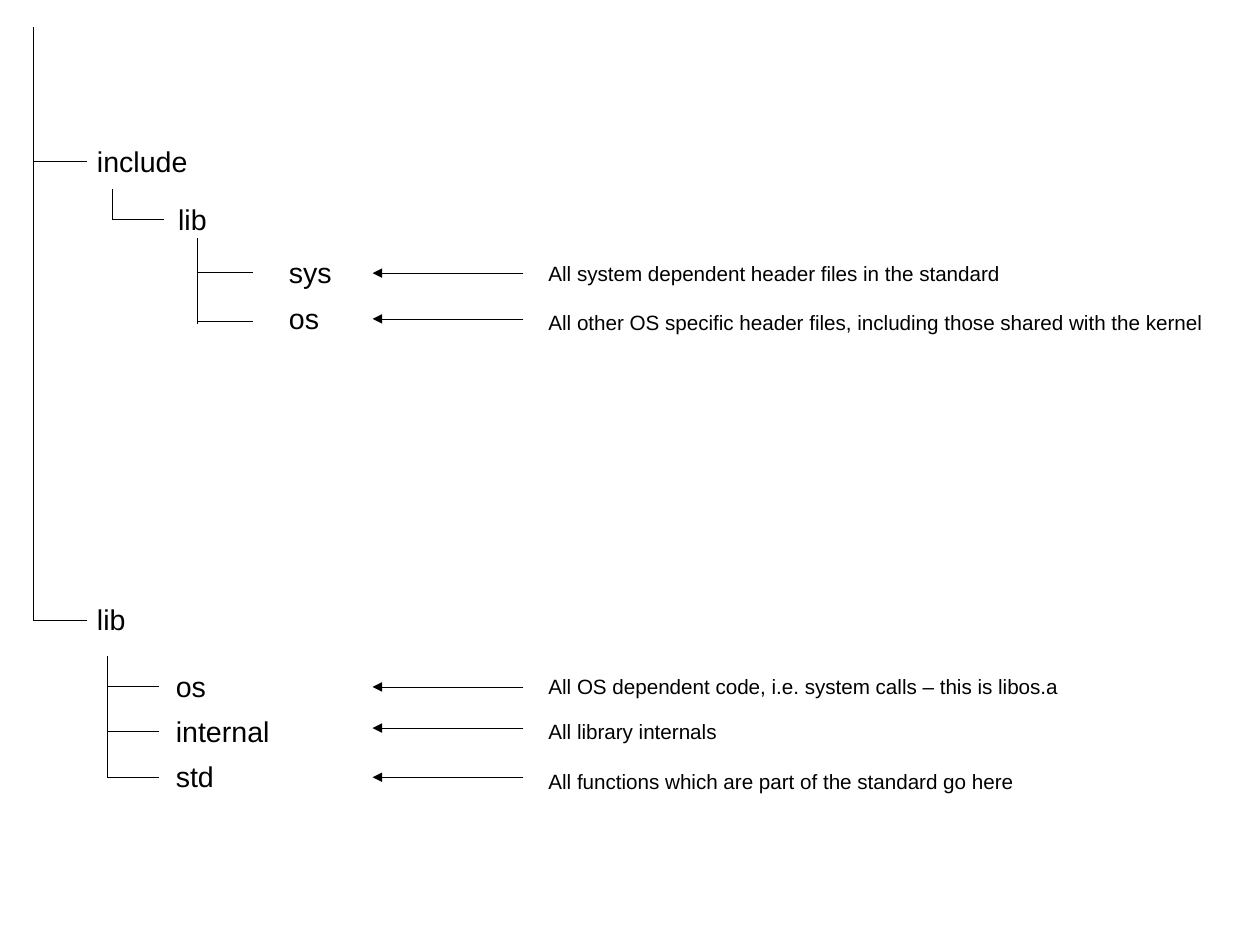
from lxml import etree
from pptx import Presentation
from pptx.dml.color import RGBColor
from pptx.enum.shapes import MSO_CONNECTOR
from pptx.enum.text import MSO_AUTO_SIZE
from pptx.oxml.ns import qn
from pptx.util import Inches, Pt

STRAIGHT = MSO_CONNECTOR.STRAIGHT
GROW = MSO_AUTO_SIZE.SHAPE_TO_FIT_TEXT
BLACK = "000000"

# Slide of 28 by 21 cm
prs = Presentation()
prs.slide_width, prs.slide_height = Inches(28 / 2.54), Inches(21 / 2.54)
s = prs.slides.add_slide(prs.slide_layouts[6])


def add_line(x1, y1, x2, y2, arrow=False):
    c = s.shapes.add_connector(STRAIGHT, Inches(x1), Inches(y1), Inches(x2), Inches(y2))
    c.line.color.rgb = RGBColor.from_string(BLACK)
    ln = c._element.spPr.find(qn("a:ln"))
    ln.set("w", "0")  # hairline
    if arrow:
        etree.SubElement(ln, qn("a:tailEnd"), type="triangle")
    etree.SubElement(c._element.spPr, qn("a:effectLst"))


def add_label(text, x, y, w, h, size):
    sp = s.shapes.add_textbox(Inches(x), Inches(y), Inches(w), Inches(h))
    tf = sp.text_frame
    tf.word_wrap = True
    tf.auto_size = GROW
    r = tf.paragraphs[0].add_run()
    r.text = text
    r.font.name = "Arial"
    r.font.size = Pt(size)
    r.font.color.rgb = RGBColor.from_string(BLACK)


# Vertical trunks of the tree: x, top, bottom
for x, top, bottom in [(0.29, 0.24, 5.42), (0.98, 1.66, 1.91),
                       (1.73, 2.09, 2.83), (0.94, 5.74, 6.8)]:
    add_line(x, top, x, bottom)

# Folders: name, branch start, branch end, branch y, label left, label top
folders = [
    ("include", 0.29, 0.76, 1.41, 0.75, 1.21),
    ("lib", 0.98, 1.43, 1.92, 1.46, 1.72),
    ("sys", 1.74, 2.21, 2.38, 2.43, 2.18),
    ("os", 1.74, 2.21, 2.81, 2.43, 2.58),
    ("lib", 0.29, 0.76, 5.43, 0.75, 5.22),
    ("os", 0.94, 1.39, 6.01, 1.44, 5.8),
    ("internal", 0.94, 1.39, 6.4, 1.44, 6.2),
    ("std", 0.94, 1.39, 6.8, 1.44, 6.59),
]
for name, start, end, y, left, top in folders:
    add_line(start, y, end, y)
    add_label(name, left, top, 2.67, 0.38, 18)

# Explanations with arrows: text, arrow y, text top
notes = [
    ("All system dependent header files in the standard", 2.39, 2.23),
    ("All other OS specific header files, including those shared with the kernel", 2.79, 2.66),
    ("All OS dependent code, i.e. system calls – this is libos.a", 6.01, 5.85),
    ("All library internals", 6.37, 6.24),
    ("All functions which are part of the standard go here", 6.8, 6.68),
]
for text, y, top in notes:
    add_line(4.58, y, 3.26, y, arrow=True)
    add_label(text, 4.7, top, 5.96, 0.3, 13)

prs.save("out.pptx")
